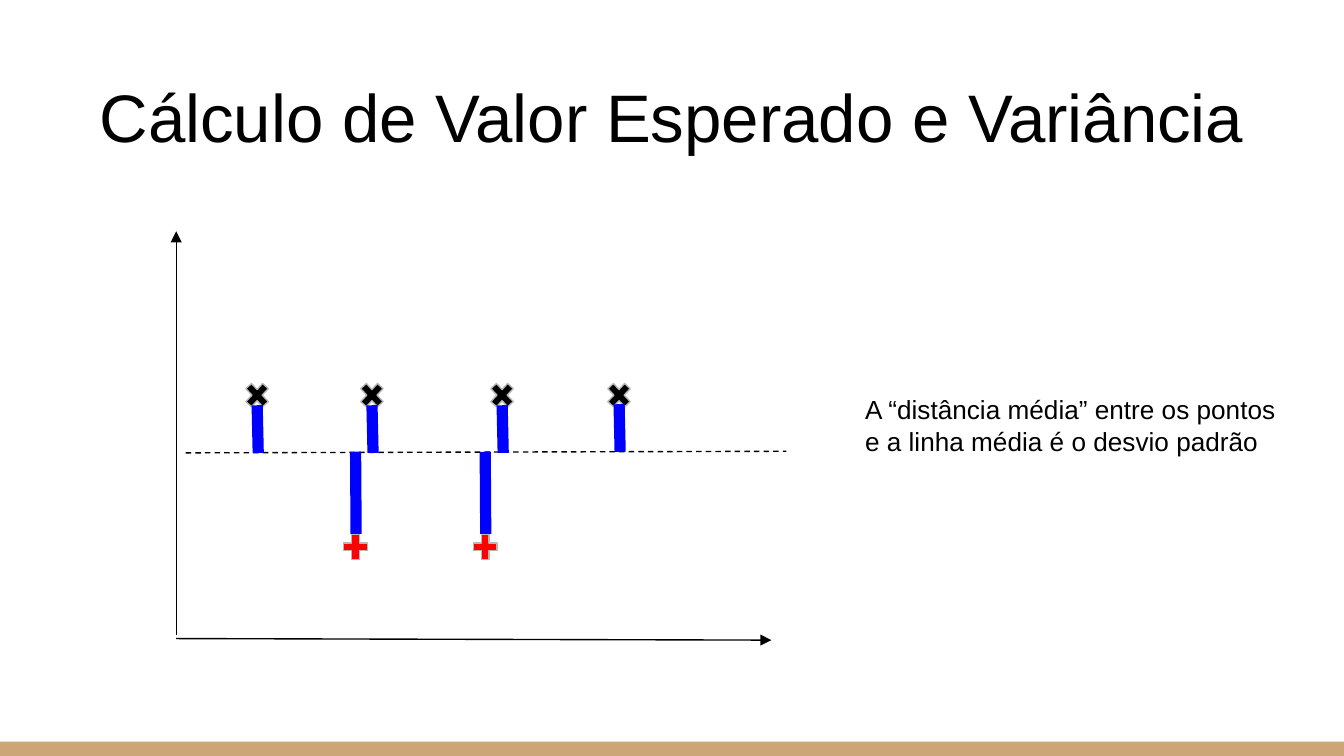
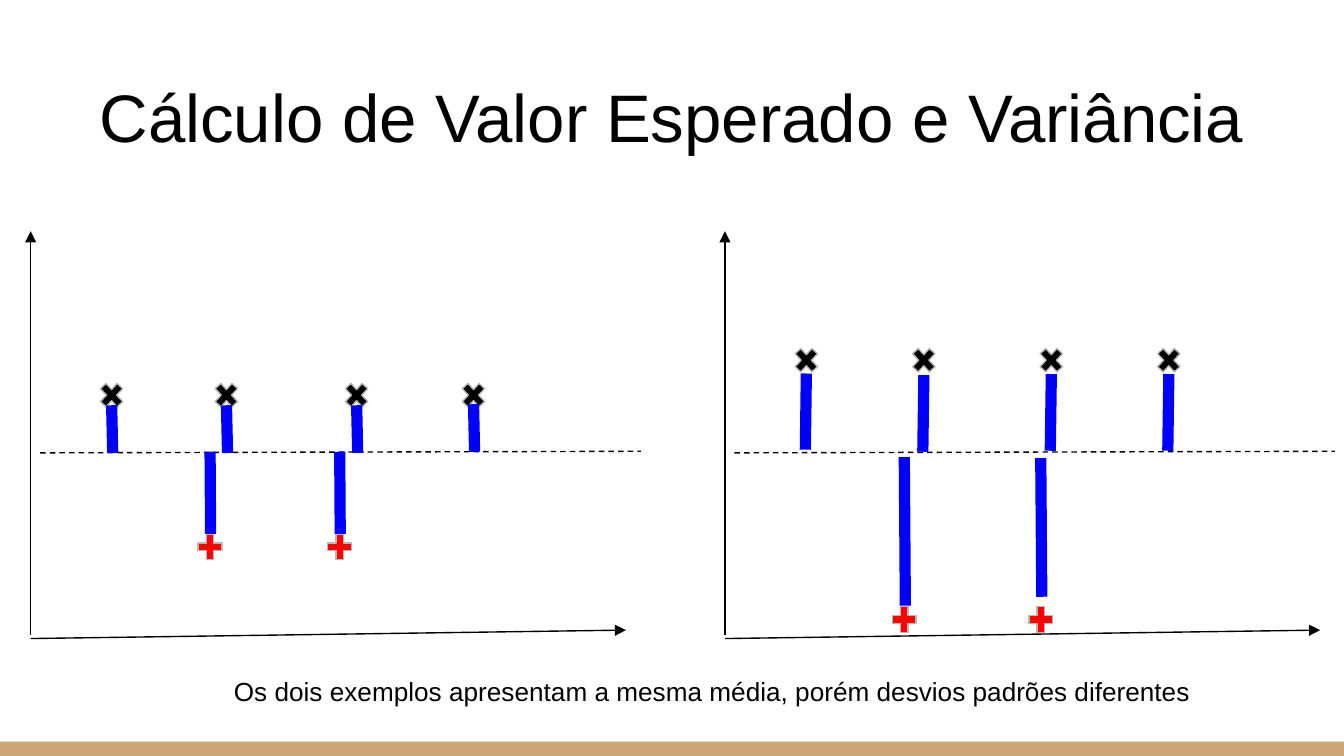
import pptx
import pptx.util
import pptx.dml.color
import pptx.enum.dml
import pptx.enum.shapes
import pptx.enum.text
import pptx.oxml.ns
import lxml.etree

Cm = pptx.util.Cm
MSO_SHAPE = pptx.enum.shapes.MSO_SHAPE

FONT = "Arial"
BLACK, GREY, RED, BLUE, SAND = "000000", "B7B7B7", "FF0000", "0000FF", "CCA677"
WIDTH, HEIGHT = 25.4, 14.29
BAND_TOP = 14.02
TITLE = "Cálculo de Valor Esperado e Variância"
TITLE_BOX = (0.86, 0.89, 23.67, 2.31)

AXIS_TOP, AXIS_BOTTOM = 4.37, 12.01
ORIGIN_Y, AXIS_LENGTH = 12.07, 11.25
MEAN_START, MEAN_END = (0.18, 8.56), (11.53, 8.53)
MARK_WIDTH, MARK_HEIGHT = 0.61, 0.66

# Each group: mark centres across, mark centre height, deviation start/end, lean.
SMALL_DEVIATION = [
    {"mark": MSO_SHAPE.MATH_MULTIPLY, "color": BLACK, "mark_y": 7.47, "lean": 0.02,
     "deviations": [(1.53, 7.66, 8.56), (3.7, 7.66, 8.56),
                    (6.16, 7.66, 8.56), (8.37, 7.64, 8.54)]},
    {"mark": MSO_SHAPE.MATH_PLUS, "color": RED, "mark_y": 10.34, "lean": 0.01,
     "deviations": [(3.39, 8.54, 10.09), (5.84, 8.54, 10.09)]},
]
LARGE_DEVIATION = [
    {"mark": MSO_SHAPE.MATH_MULTIPLY, "color": BLACK, "mark_y": 6.81, "lean": -0.02,
     "deviations": [(1.54, 7.06, 8.5), (3.76, 7.09, 8.54),
                    (6.17, 7.07, 8.52), (8.39, 7.07, 8.52)]},
    {"mark": MSO_SHAPE.MATH_PLUS, "color": RED, "mark_y": 11.71, "lean": 0.02,
     "deviations": [(3.39, 8.64, 11.45), (5.97, 8.66, 11.28)]},
]
SLIDES = [
    {"plots": [(3.33, 12.1, SMALL_DEVIATION)],
     "note": "A “distância média” entre os pontos e a linha média é o desvio padrão",
     "note_box": (16.1, 7.19, 8.43, 1.8)},
    {"plots": [(0.58, 11.91, SMALL_DEVIATION), (13.7, 11.91, LARGE_DEVIATION)],
     "note": "Os dois exemplos apresentam a mesma média, porém desvios padrões diferentes",
     "note_box": (4.17, 12.52, 18.72, 0.66)},
]


def rgb(value):
    return pptx.dml.color.RGBColor.from_string(value)


def add_text(slide, text, box, size=14, color=BLACK, align="LEFT", anchor="TOP"):
    frame = slide.shapes.add_textbox(*map(Cm, box)).text_frame
    frame.word_wrap = True
    frame.vertical_anchor = pptx.enum.text.MSO_ANCHOR[anchor]
    frame.margin_left = frame.margin_right = Cm(0.25)
    frame.margin_top = frame.margin_bottom = Cm(0.25)
    paragraph = frame.paragraphs[0]
    paragraph.alignment = pptx.enum.text.PP_ALIGN[align]
    run = paragraph.add_run()
    run.text = text
    run.font.name = FONT
    run.font.size = pptx.util.Pt(size)
    run.font.color.rgb = rgb(color)


def add_filled(slide, preset, box, fill, outline=None):
    shape = slide.shapes.add_shape(preset, *map(Cm, box))
    shape.shadow.inherit = False
    shape.fill.solid()
    shape.fill.fore_color.rgb = rgb(fill)
    if outline:
        shape.line.color.rgb = rgb(outline)
        shape.line.width = pptx.util.Pt(0.75)
    else:
        shape.line.fill.background()


def add_line(slide, start, end, color=BLACK, width=0.75, dashed=False, arrow=False):
    line = slide.shapes.add_connector(
        pptx.enum.shapes.MSO_CONNECTOR.STRAIGHT, *map(Cm, start + end))
    line.line.color.rgb = rgb(color)
    line.line.width = pptx.util.Pt(width)
    if dashed:
        line.line.dash_style = pptx.enum.dml.MSO_LINE.DASH
    properties = line._element.spPr
    if arrow:
        outline = properties.find(pptx.oxml.ns.qn("a:ln"))
        lxml.etree.SubElement(outline, pptx.oxml.ns.qn("a:tailEnd"), type="triangle")
    lxml.etree.SubElement(properties, pptx.oxml.ns.qn("a:effectLst"))


def add_plot(slide, left, axis_end_y, groups):
    add_line(slide, (left, AXIS_BOTTOM), (left, AXIS_TOP), arrow=True)
    add_line(slide, (left, ORIGIN_Y), (left + AXIS_LENGTH, axis_end_y), arrow=True)
    for group in groups:
        for x, _, _ in group["deviations"]:
            corner = (left + x - MARK_WIDTH / 2, group["mark_y"] - MARK_HEIGHT / 2)
            add_filled(slide, group["mark"], corner + (MARK_WIDTH, MARK_HEIGHT),
                       group["color"], GREY)
    add_line(slide, (left + MEAN_START[0], MEAN_START[1]),
             (left + MEAN_END[0], MEAN_END[1]), dashed=True)
    for group in groups:
        for x, top, bottom in group["deviations"]:
            add_line(slide, (left + x, top), (left + x + group["lean"], bottom),
                     color=BLUE, width=6)


def main():
    deck = pptx.Presentation()
    deck.slide_width, deck.slide_height = Cm(WIDTH), Cm(HEIGHT)
    for content in SLIDES:
        slide = deck.slides.add_slide(deck.slide_layouts[6])
        add_filled(slide, MSO_SHAPE.RECTANGLE,
                   (0, BAND_TOP, WIDTH, HEIGHT - BAND_TOP), SAND)
        add_text(slide, TITLE, TITLE_BOX, size=36, align="CENTER", anchor="BOTTOM")
        for left, axis_end_y, groups in content["plots"]:
            add_plot(slide, left, axis_end_y, groups)
        add_text(slide, content["note"], content["note_box"])
    deck.save("out.pptx")


if __name__ == "__main__":
    main()
